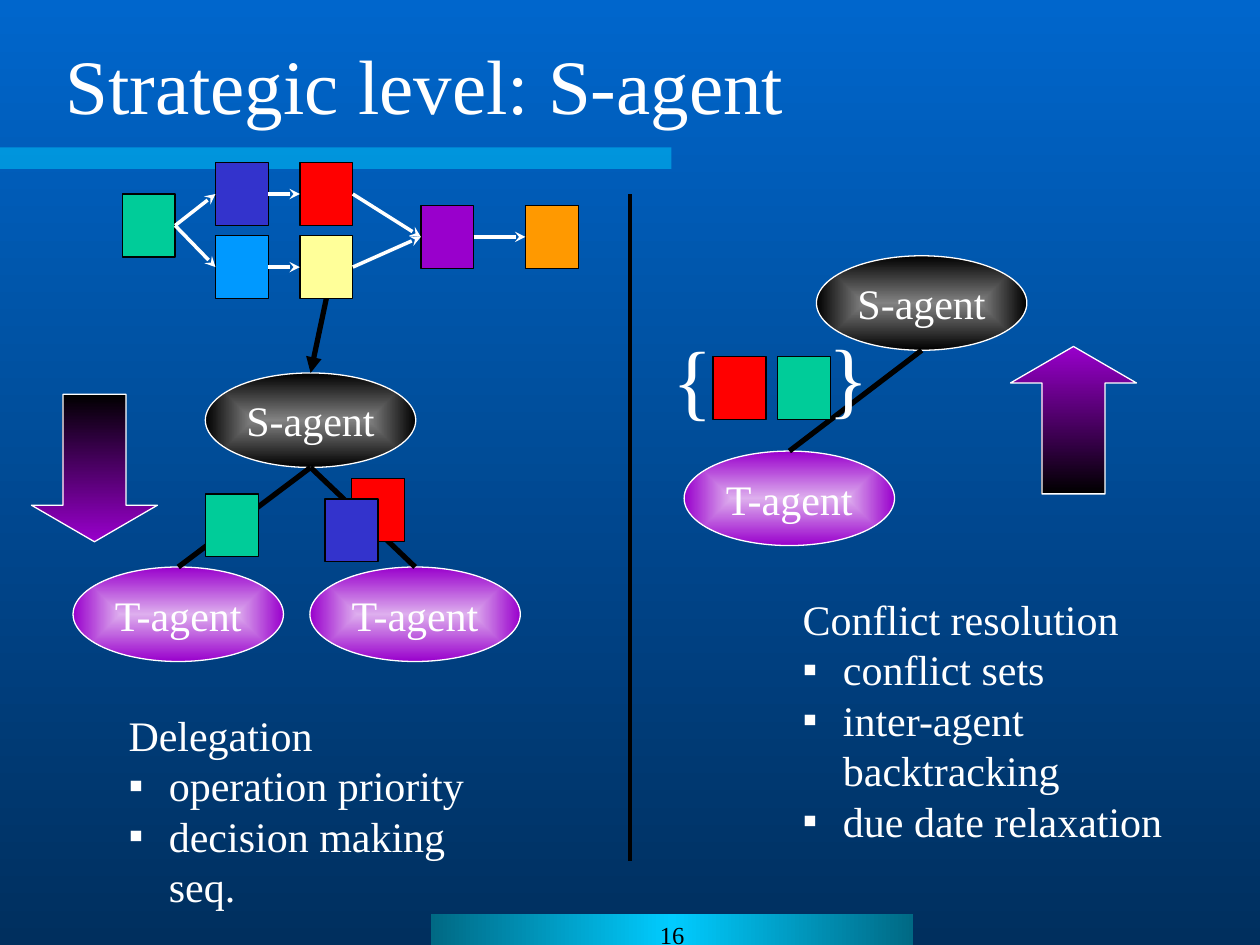
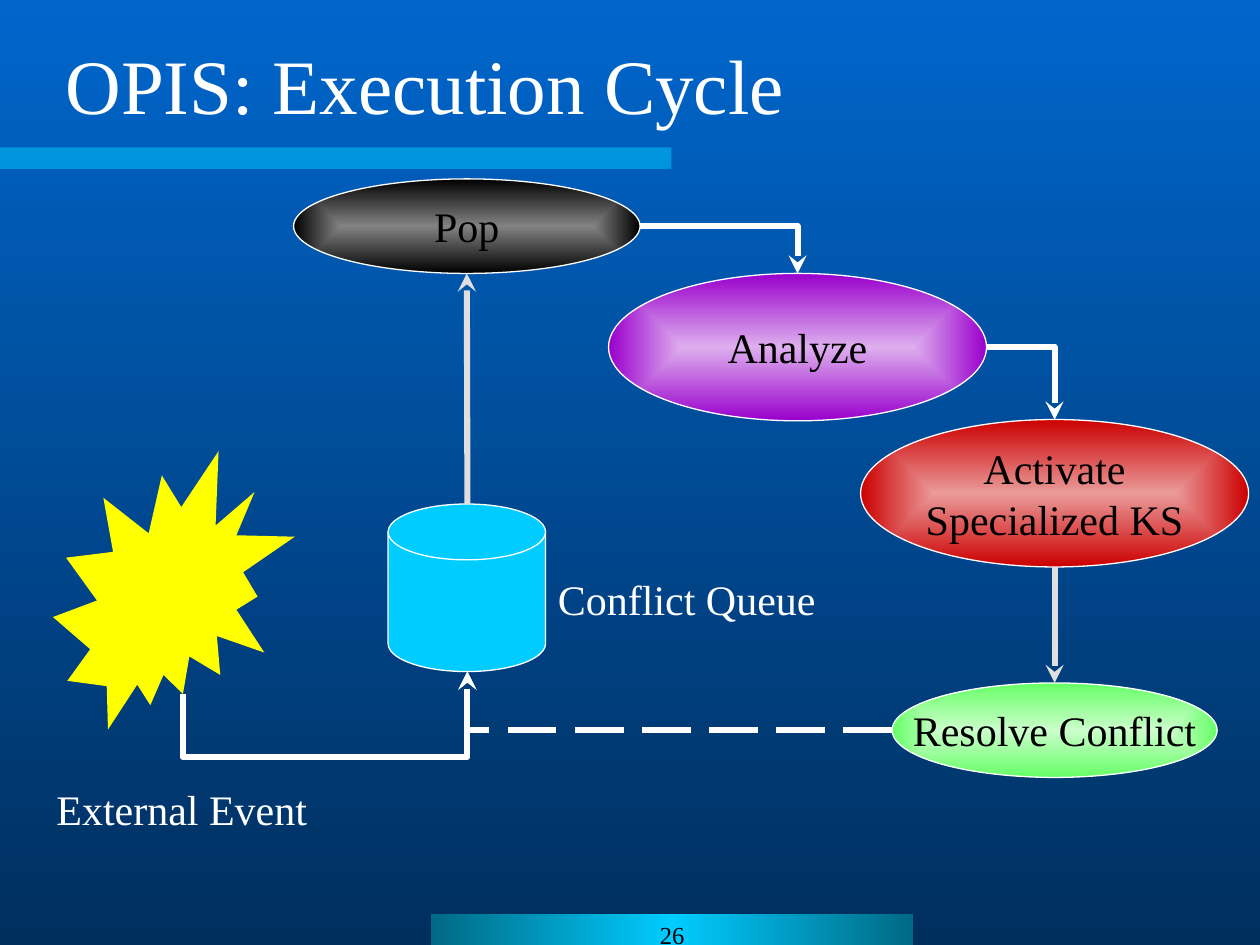
from collections import namedtuple
from dataclasses import dataclass

from lxml.etree import SubElement
from pptx import Presentation
from pptx.dml.color import RGBColor
from pptx.enum.dml import MSO_LINE
from pptx.enum.shapes import MSO_CONNECTOR, MSO_SHAPE
from pptx.enum.text import MSO_ANCHOR, MSO_AUTO_SIZE, PP_ALIGN
from pptx.oxml.ns import qn
from pptx.util import Inches, Pt


@dataclass(frozen=True)
class Theme:
    font: str = "Times New Roman"
    title_size: int = 44
    brace_size: int = 48
    body_size: int = 24
    footer_size: int = 14
    hairline: float = 0.75
    white: str = "FFFFFF"
    black: str = "000000"
    silver: str = "DFDFDF"
    cyan: str = "00CCFF"
    green: str = "00CC99"
    red: str = "FF0000"
    blue: str = "3333CC"
    sky: str = "0099FF"
    cream: str = "FFFF99"
    purple: str = "9900CC"
    orange: str = "FF9900"
    yellow: str = "FFFF00"
    backdrop: tuple = ("0066CC", "002F5E")
    footer_glow: tuple = ("006984", "00CCFF", "006984")
    # Glowing ovals: centre colour, then edge colour
    dark_glow: tuple = ("828282", "000000")
    purple_glow: tuple = ("DEAFEE", "9900CC")
    red_glow: tuple = ("EA9A9A", "CC0000")
    green_glow: tuple = ("CBFECB", "66FF66")


THEME = Theme()
TOP, LEFT, BOTTOM, RIGHT = range(4)
Port = namedtuple("Port", "shape side")


# ---- Formatting helpers ----
def rgb(value):
    return RGBColor.from_string(value)


def fill_gradient(owner, element, colors, angle=None):
    """Evenly spaced stops: linear at an angle, or from the centre outwards."""
    owner.fill.gradient()
    gradient = element.find(".//" + qn("a:gradFill"))
    for child in list(gradient):
        gradient.remove(child)
    stops = SubElement(gradient, qn("a:gsLst"))
    for index, color in enumerate(colors):
        position = str(100000 * index // (len(colors) - 1))
        stop = SubElement(stops, qn("a:gs"), pos=position)
        SubElement(stop, qn("a:srgbClr"), val=color)
    if angle is None:
        centre = SubElement(gradient, qn("a:path"), path="rect")
        SubElement(centre, qn("a:fillToRect"), l="50000", t="50000", r="50000", b="50000")
    else:
        SubElement(gradient, qn("a:lin"), ang=str(angle * 60000), scaled="0")


def format_text(frame, size, color, align=PP_ALIGN.LEFT, wrap=True, anchor=MSO_ANCHOR.TOP):
    frame.word_wrap = wrap
    frame.auto_size = MSO_AUTO_SIZE.NONE
    frame.vertical_anchor = anchor
    for para in frame.paragraphs:
        para.alignment = align
        para.space_before = Pt(0)
        para.line_spacing = Pt(1.2 * size)
        for span in para.runs:
            span.font.name = THEME.font
            span.font.size = Pt(size)
            span.font.color.rgb = rgb(color)


def place(box, left, top, width, height):
    box.left, box.top = Inches(left), Inches(top)
    box.width, box.height = Inches(width), Inches(height)


# ---- Shapes ----
def add_figure(page, kind, area, fill, angle=None, outline=None):
    figure = page.shapes.add_shape(kind, *map(Inches, area))
    figure.shadow.inherit = False
    if isinstance(fill, tuple):
        fill_gradient(figure, figure.element, fill, angle)
    else:
        figure.fill.solid()
        figure.fill.fore_color.rgb = rgb(fill)
    if outline:
        figure.line.color.rgb = rgb(outline)
        figure.line.width = Pt(THEME.hairline)
    else:
        figure.line.fill.background()
    return figure


def add_oval(page, area, text, glow, color):
    oval = add_figure(page, MSO_SHAPE.OVAL, area, glow, outline=THEME.white)
    oval.text_frame.text = text
    format_text(oval.text_frame, THEME.body_size, color, PP_ALIGN.CENTER, False, MSO_ANCHOR.MIDDLE)
    return oval


def add_agent(page, left, top, text, glow):
    return add_oval(page, (left, top, 1.67, 0.75), text, glow, THEME.white)


def add_operation(page, left, top, color):
    area = (left, top, 0.42, 0.5)
    return add_figure(page, MSO_SHAPE.RECTANGLE, area, color, outline=THEME.black)


def add_block_arrow(page, kind, left, top, colors):
    arrow = add_figure(page, kind, (left, top, 1, 1.17), colors, 90, THEME.white)
    arrow.adjustments[0], arrow.adjustments[1] = 0.5, 0.29


def add_label(page, left, top, width, height, text, size=THEME.body_size):
    label = page.shapes.add_textbox(*map(Inches, (left, top, width, height)))
    label.text_frame.text = text
    format_text(label.text_frame, size, THEME.white)


# ---- Lines ----
def locate(end):
    """Turn a port or a point in inches into slide units."""
    if not isinstance(end, Port):
        return Inches(end[0]), Inches(end[1])
    box, side = end
    x = box.left + {LEFT: 0, RIGHT: box.width}.get(side, box.width // 2)
    y = box.top + {TOP: 0, BOTTOM: box.height}.get(side, box.height // 2)
    return x, y


def can_join(end):
    # An oval numbers its sides differently, except for the top
    return isinstance(end, Port) and (
        end.side == TOP or end.shape.auto_shape_type == MSO_SHAPE.RECTANGLE)


def draw_line(page, start, end, color, width, head=None, kind=MSO_CONNECTOR.STRAIGHT, dash=None):
    line = page.shapes.add_connector(kind, *locate(start), *locate(end))
    if kind == MSO_CONNECTOR.STRAIGHT:
        if can_join(start):
            line.begin_connect(*start)
        if can_join(end):
            line.end_connect(*end)
    line.line.color.rgb = rgb(color)
    line.line.width = Pt(width)
    if dash:
        line.line.dash_style = dash
    if head:
        SubElement(line.element.find(".//" + qn("a:ln")), qn("a:tailEnd"), type=head)
    SubElement(line.element.spPr, qn("a:effectLst"))
    return line


def draw_flow(page, start, end):
    draw_line(page, start, end, THEME.white, 2, "stealth")


def draw_step(page, start, end):
    draw_line(page, start, end, THEME.silver, 3.5, "stealth")


def draw_corner(page, start, end, dash=None):
    """One bend: across first, then up or down."""
    line = draw_line(page, start, end, THEME.white, 3.5, "stealth", MSO_CONNECTOR.ELBOW, dash)
    line.element.find(".//" + qn("a:prstGeom")).set("prst", "bentConnector2")


def draw_underpass(page, start, end, depth):
    """Down by depth, right, then up: an elbow turned by a quarter."""
    middle_x, middle_y = (start[0] + end[0]) / 2, (start[1] + end[1]) / 2
    half_run, half_rise = (end[0] - start[0]) / 2, (start[1] - end[1]) / 2
    line = draw_line(page, (middle_x + half_rise, middle_y + half_run),
                     (middle_x - half_rise, middle_y - half_run),
                     THEME.white, 3.5, "stealth", MSO_CONNECTOR.ELBOW)
    line.element.find(".//" + qn("a:xfrm")).set("rot", "5400000")
    guides = line.element.find(".//" + qn("a:avLst"))
    bend = round(-depth / (2 * half_rise) * 100000)
    SubElement(guides, qn("a:gd"), name="adj1", fmla=f"val {bend}")


# ---- Shared page parts ----
def add_page(deck, layout, title, number):
    page = deck.slides.add_slide(deck.slide_layouts[layout])
    heading = page.shapes.title
    place(heading, 0.42, 0.25, 9.25, 0.83)
    heading.text_frame.text = title
    format_text(heading.text_frame, THEME.title_size, THEME.white, anchor=MSO_ANCHOR.MIDDLE)

    band = add_figure(page, MSO_SHAPE.RECTANGLE, (0, 1.17, 5.33, 0.17), THEME.cyan)
    SubElement(band.element.find(".//" + qn("a:srgbClr")), qn("a:alpha"), val="50000")
    footer = add_figure(page, MSO_SHAPE.RECTANGLE, (3.42, 7.25, 3.83, 0.25), THEME.footer_glow, 180)
    footer.text_frame.text = number
    format_text(footer.text_frame, THEME.footer_size, THEME.black, PP_ALIGN.CENTER)
    return page


def fill_list(box, area, heading, items):
    place(box, *area)
    box.text_frame.text = "\n".join([heading, *items])
    for index, para in enumerate(box.text_frame.paragraphs):
        properties = para._p.get_or_add_pPr()
        indent = Inches(0.32) if index else 0
        properties.set("marL", str(indent))
        properties.set("indent", str(-indent))
        if index:
            color = SubElement(properties, qn("a:buClr"))
            SubElement(color, qn("a:srgbClr"), val=THEME.white)
            SubElement(properties, qn("a:buChar"), char="▪")
        else:
            SubElement(properties, qn("a:buNone"))
    format_text(box.text_frame, THEME.body_size, THEME.white)


# ---- Slides ----
def build_strategic_level(deck):
    page = add_page(deck, 3, "Strategic level: S-agent", "16")
    delegation, resolution = [box for box in page.placeholders if box.placeholder_format.idx]
    fill_list(delegation, (0.92, 5.58, 3.1, 1.7), "Delegation",
              ["operation priority", "decision making seq."])
    fill_list(resolution, (6.27, 4.66, 3.5, 2.1), "Conflict resolution",
              ["conflict sets", "inter-agent backtracking", "due date relaxation"])
    draw_line(page, (5, 1.54), (5, 6.83), THEME.black, 2.25)

    # Delegation tree
    delegator = add_agent(page, 1.63, 2.96, "S-agent", THEME.dark_glow)
    for left in (0.58, 2.46):
        worker = add_agent(page, left, 4.5, "T-agent", THEME.purple_glow)
        draw_line(page, Port(delegator, BOTTOM), Port(worker, TOP), THEME.black, 3)
    for left, top, color in ((1.63, 3.92, THEME.green), (2.79, 3.8, THEME.red),
                             (2.58, 3.96, THEME.blue)):
        add_operation(page, left, top, color)

    # Conflict set sent back up
    resolver = add_agent(page, 6.48, 2.03, "S-agent", THEME.dark_glow)
    reporter = add_agent(page, 5.43, 3.58, "T-agent", THEME.purple_glow)
    draw_line(page, Port(resolver, BOTTOM), Port(reporter, TOP), THEME.black, 3)
    add_operation(page, 6.17, 2.83, THEME.green)
    add_operation(page, 5.66, 2.83, THEME.red)
    for left, top, brace in ((5.24, 2.54, "{"), (6.48, 2.53, "}")):
        add_label(page, left, top, 0.52, 0.9, brace, THEME.brace_size)

    # Direction arrows
    fade = (THEME.black, THEME.purple)
    add_block_arrow(page, MSO_SHAPE.DOWN_ARROW, 0.25, 3.13, fade)
    add_block_arrow(page, MSO_SHAPE.UP_ARROW, 8.02, 2.75, fade[::-1])

    # Operation network
    first = add_operation(page, 0.97, 1.54, THEME.green)
    merge = add_operation(page, 3.34, 1.63, THEME.purple)
    last = add_operation(page, 4.17, 1.63, THEME.orange)
    for top, near_color, far_color in ((1.29, THEME.blue, THEME.red),
                                       (1.87, THEME.sky, THEME.cream)):
        near = add_operation(page, 1.71, top, near_color)
        far = add_operation(page, 2.38, top, far_color)
        for source, target in ((first, near), (near, far), (far, merge)):
            draw_flow(page, Port(source, RIGHT), Port(target, LEFT))
    draw_flow(page, Port(merge, RIGHT), Port(last, LEFT))
    draw_line(page, Port(far, BOTTOM), Port(delegator, TOP), THEME.black, 3, "triangle")


def build_execution_cycle(deck):
    page = add_page(deck, 5, "OPIS: Execution Cycle", "26")

    # Conflict queue
    queue = add_figure(page, MSO_SHAPE.FLOWCHART_DIRECT_ACCESS_STORAGE, (3.04, 4.04, 1.33, 1.25),
                       THEME.cyan, outline=THEME.white)
    queue.rotation = 270
    add_label(page, 4.33, 4.5, 2.4, 0.5, "Conflict Queue")

    # Steps of the cycle
    pop, analyze, activate, resolve = [
        add_oval(page, area, text, glow, THEME.black) for area, text, glow in (
            ((2.33, 1.42, 2.75, 0.75), "Pop", THEME.dark_glow),
            ((4.83, 2.17, 3, 1.17), "Analyze", THEME.purple_glow),
            ((6.83, 3.33, 3.08, 1.17), "Activate\nSpecialized KS", THEME.red_glow),
            ((7.08, 5.42, 2.58, 0.75), "Resolve Conflict", THEME.green_glow))]
    draw_step(page, (3.71, 4), Port(pop, BOTTOM))
    draw_corner(page, Port(pop, RIGHT), Port(analyze, TOP))
    draw_corner(page, Port(analyze, RIGHT), Port(activate, TOP))
    draw_step(page, Port(activate, BOTTOM), Port(resolve, TOP))
    queue_entry = (3.71, 5.33)
    draw_corner(page, Port(resolve, LEFT), queue_entry, MSO_LINE.LONG_DASH)

    # External event
    add_label(page, 0.35, 6.17, 2.4, 0.5, "External Event")
    draw_underpass(page, (1.45, 5.51), queue_entry, 0.5)
    add_figure(page, MSO_SHAPE.EXPLOSION2, (0.42, 3.58, 1.92, 2.21), THEME.yellow)


def main():
    deck = Presentation()
    deck.slide_width, deck.slide_height = Inches(10), Inches(7.5)
    master = deck.slide_master
    fill_gradient(master.background, master.element, THEME.backdrop, 90)
    build_strategic_level(deck)
    build_execution_cycle(deck)
    deck.save("out.pptx")


if __name__ == "__main__":
    main()
